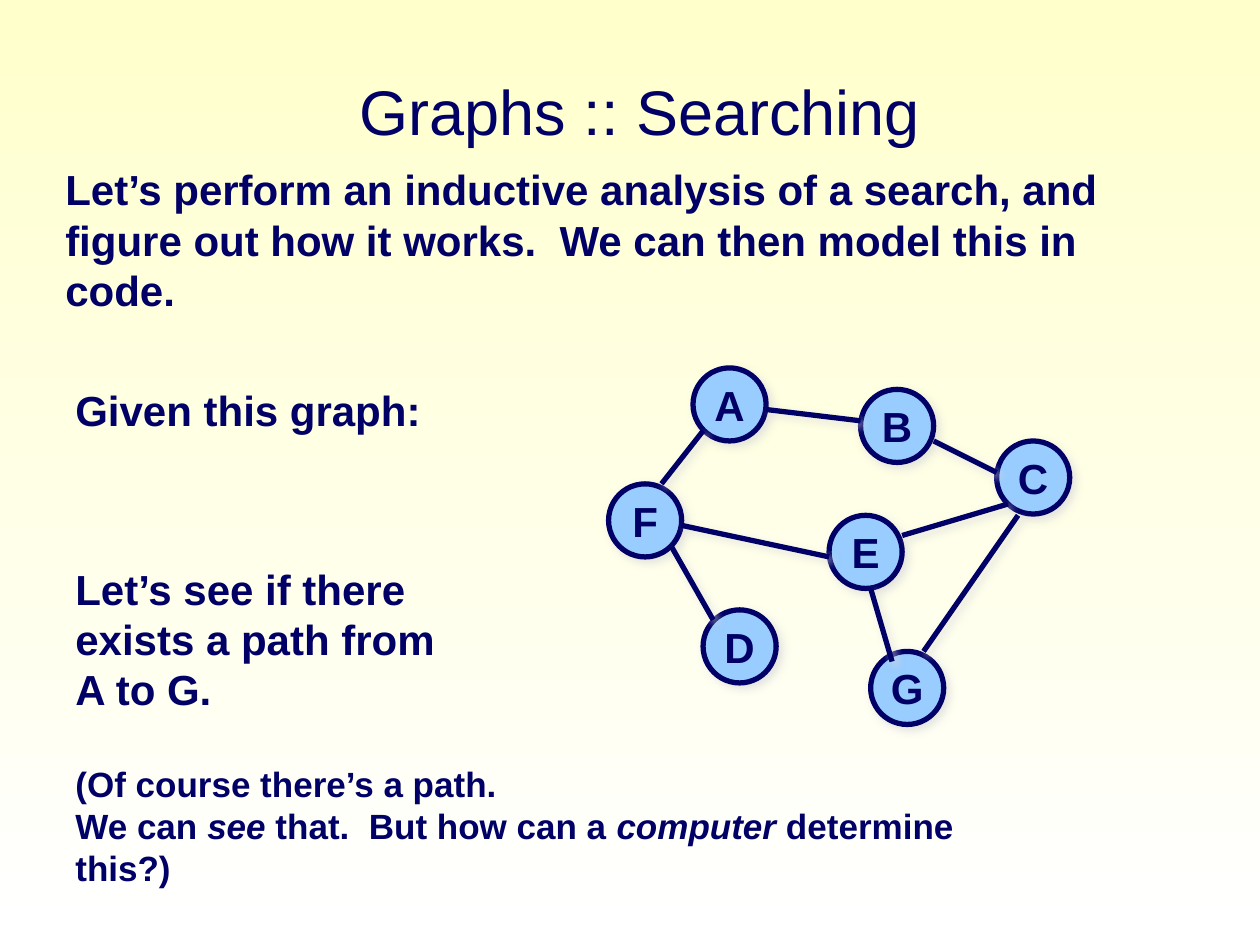
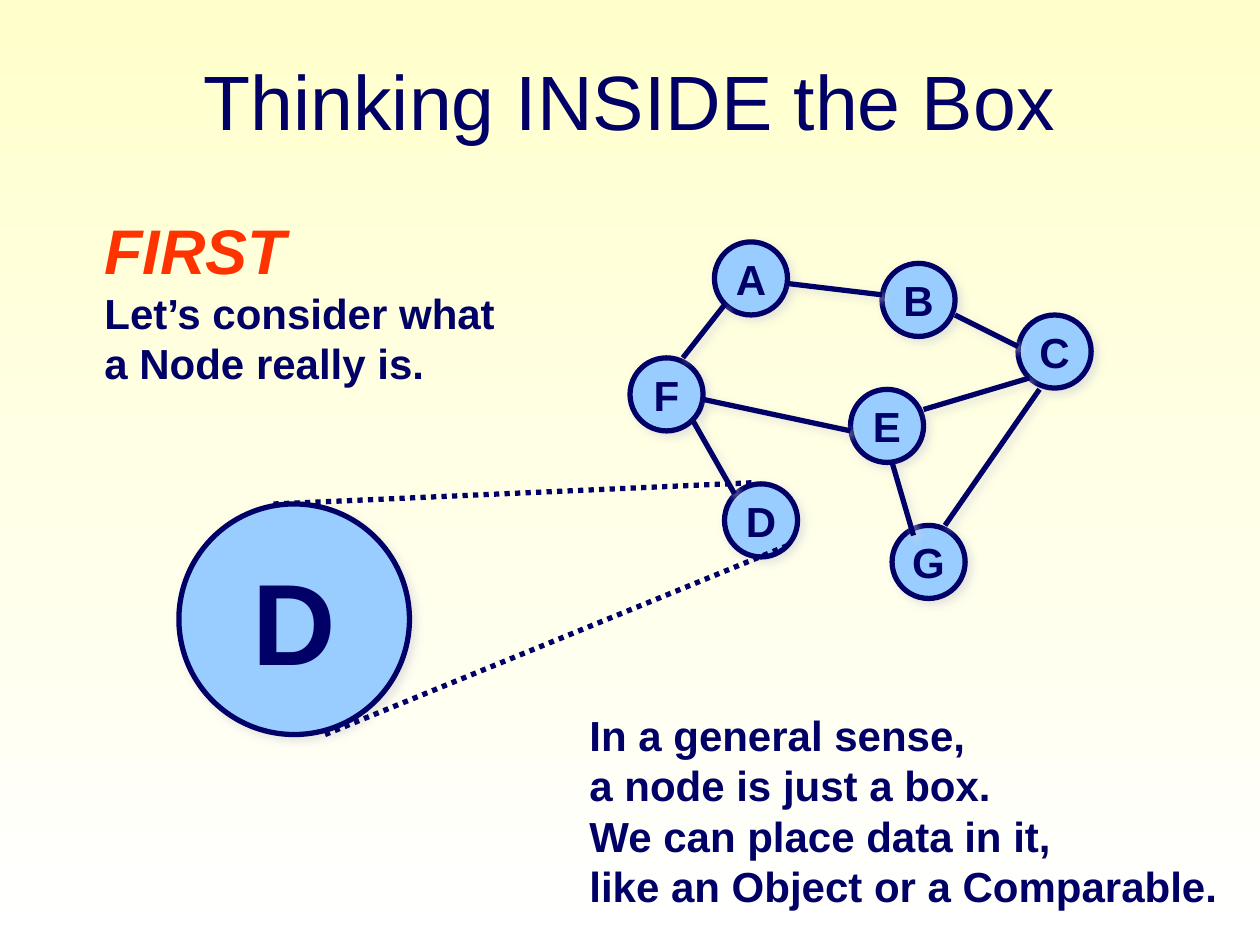
from lxml import etree
from pptx import Presentation
from pptx.dml.color import RGBColor
from pptx.enum.dml import MSO_LINE
from pptx.enum.shapes import MSO_CONNECTOR, MSO_SHAPE
from pptx.enum.text import MSO_ANCHOR as Anchor, MSO_AUTO_SIZE as Auto, PP_ALIGN as Align
from pptx.oxml.ns import qn
from pptx.util import Inches, Pt

NAVY = RGBColor(0x00, 0x00, 0x66)
SKY = RGBColor(0x99, 0xCC, 0xFF)
RED = RGBColor(0xFF, 0x33, 0x00)
CREAM = RGBColor(0xFF, 0xFF, 0xCC)
WHITE = RGBColor(0xFF, 0xFF, 0xFF)
GREY = RGBColor(0xDD, 0xDD, 0xDD)
FONT = "Arial"
NODE = 0.58
NODES = {
    "A": (0.67, 0), "G": (2.08, 2.25), "B": (2, 0.17), "C": (3.08, 0.58),
    "D": (0.75, 1.92), "F": (0, 0.92), "E": (1.75, 1.17),
}
EDGES = [
    (1.25, 0.33, 2, 0.42), (2.58, 0.58, 3.08, 0.83),
    (0.75, 0.5, 0.42, 0.92), (3.17, 1.08, 2.33, 1.33),
    (3.25, 1.17, 2.5, 2.25), (2.25, 2.33, 2.08, 1.75),
    (0.83, 2, 0.5, 1.42), (0.58, 1.25, 1.75, 1.5),
]


def style(para, size, color=NAVY, bold=True):
    """Set the font of a whole paragraph."""
    font = para.font
    font.name, font.size, font.bold = FONT, Pt(size), bold
    font.color.rgb = color


def effect(shape, shadow=True):
    """Give a shape a soft grey shadow, or none at all."""
    props = shape._element.spPr
    for old in props.findall(qn("a:effectLst")):
        props.remove(old)
    effects = etree.SubElement(props, qn("a:effectLst"))
    if shadow:
        outer = etree.SubElement(
            effects, qn("a:outerShdw"), blurRad=str(Pt(5)), dist=str(Pt(3)),
            dir="2700000", algn="ctr", rotWithShape="0")
        tint = etree.SubElement(outer, qn("a:srgbClr"), val=str(GREY))
        etree.SubElement(tint, qn("a:alpha"), val="75000")


def node(shapes, name, x, y, side=NODE, size=24):
    """Draw one lettered circle."""
    disc = shapes.add_shape(MSO_SHAPE.OVAL, *map(Inches, (x, y, side, side)))
    disc.fill.solid()
    disc.fill.fore_color.rgb = SKY
    disc.line.color.rgb, disc.line.width = NAVY, Pt(3)
    effect(disc)
    frame = disc.text_frame
    frame.word_wrap, frame.vertical_anchor = False, Anchor.MIDDLE
    para = frame.paragraphs[0]
    para.text, para.alignment = name, Align.CENTER
    style(para, size)


def edge(shapes, x, y, ends, dotted=False):
    """Draw a line whose ends are given relative to x, y."""
    x1, y1, x2, y2 = ends
    line = shapes.add_connector(
        MSO_CONNECTOR.STRAIGHT, *map(Inches, (x + x1, y + y1, x + x2, y + y2)))
    line.line.color.rgb, line.line.width = NAVY, Pt(3)
    if dotted:
        line.line.dash_style = MSO_LINE.ROUND_DOT
    effect(line, not dotted)


def graph(shapes, x, y):
    """Draw the seven-node graph with its top left at x, y."""
    for name, (dx, dy) in NODES.items():
        node(shapes, name, x + dx, y + dy)
    for ends in EDGES:
        edge(shapes, x, y, ends)


def zoom(shapes, x, y):
    """Draw the enlarged node and its dotted sight lines."""
    node(shapes, "D", x, y + 0.17, 1.83, 66)
    for ends in ((0.75, 0.17, 4.58, 0), (1.16, 2, 4.83, 0.5)):
        edge(shapes, x, y, ends, True)


def note(slide, box, lines, size=24, wrap=False):
    """Add bold lines of text, with words between asterisks in italics."""
    frame = slide.shapes.add_textbox(*map(Inches, box)).text_frame
    frame.word_wrap, frame.auto_size = wrap, Auto.SHAPE_TO_FIT_TEXT
    for i, text in enumerate(lines):
        para = frame.add_paragraph() if i else frame.paragraphs[0]
        style(para, size)
        for j, part in enumerate(text.split("*")):
            if part:
                run = para.add_run()
                run.text = part
                if j % 2:
                    run.font.italic = True
    return frame.paragraphs


def start(prs, text, x, y, size):
    """Add a slide with its title."""
    slide = prs.slides.add_slide(prs.slide_layouts[5])
    title = slide.shapes.title
    title.left, title.top, title.width, title.height = map(Inches, (x, y, 8.5, 1.25))
    title.text_frame.vertical_anchor = Anchor.MIDDLE
    para = title.text_frame.paragraphs[0]
    para.text, para.alignment = text, Align.CENTER
    style(para, size, bold=False)
    return slide


def search(prs):
    """Build the slide that poses the search problem."""
    slide = start(prs, "Graphs :: Searching", 0.83, 0.25, 36)
    note(slide, (0.42, 1.25, 9, 1.3), [
        "Let’s perform an inductive analysis of a search, and figure out "
        "how it works.  We can then model this in code."], wrap=True)
    graph(slide.shapes.add_group_shape().shapes, 4.83, 2.92)
    note(slide, (0.5, 3, 2.94, 0.5), ["Given this graph:"])
    paras = note(slide, (0.5, 4.42, 7.9, 2.36), [
        "Let’s see if there", "exists a path from", "A to G.",
        "(Of course there’s a path.",
        "We can *see* that.  But how can a *computer* determine this?)"], wrap=True)
    for para in paras[3:]:
        style(para, 20)
    paras[3].space_before = Pt(27.6)


def inside(prs):
    """Build the slide that looks inside a node."""
    slide = start(prs, "Thinking INSIDE the Box", 0.75, 0.17, 44)
    graph(slide.shapes, 5, 1.92)
    zoom(slide.shapes.add_group_shape().shapes, 1.42, 3.83)
    paras = note(slide, (0.73, 1.63, 3.31, 1.5), [
        "*FIRST*", "Let’s consider what", "a Node really is."])
    style(paras[0], 36, RED)
    note(slide, (4.58, 5.58, 5.18, 1.7), [
        "In a general sense,", "a node is just a box.",
        "We can place data in it,", "like an Object or a Comparable."])


def main():
    """Set up the shared background and build both slides."""
    prs = Presentation()
    prs.slide_width, prs.slide_height = Inches(10), Inches(7.5)
    fill = prs.slide_master.background.fill
    fill.gradient()
    fill.gradient_angle = 270
    for stop, color in zip(fill.gradient_stops, (CREAM, WHITE)):
        stop.color.rgb = color
    search(prs)
    inside(prs)
    prs.save("out.pptx")


if __name__ == "__main__":
    main()
